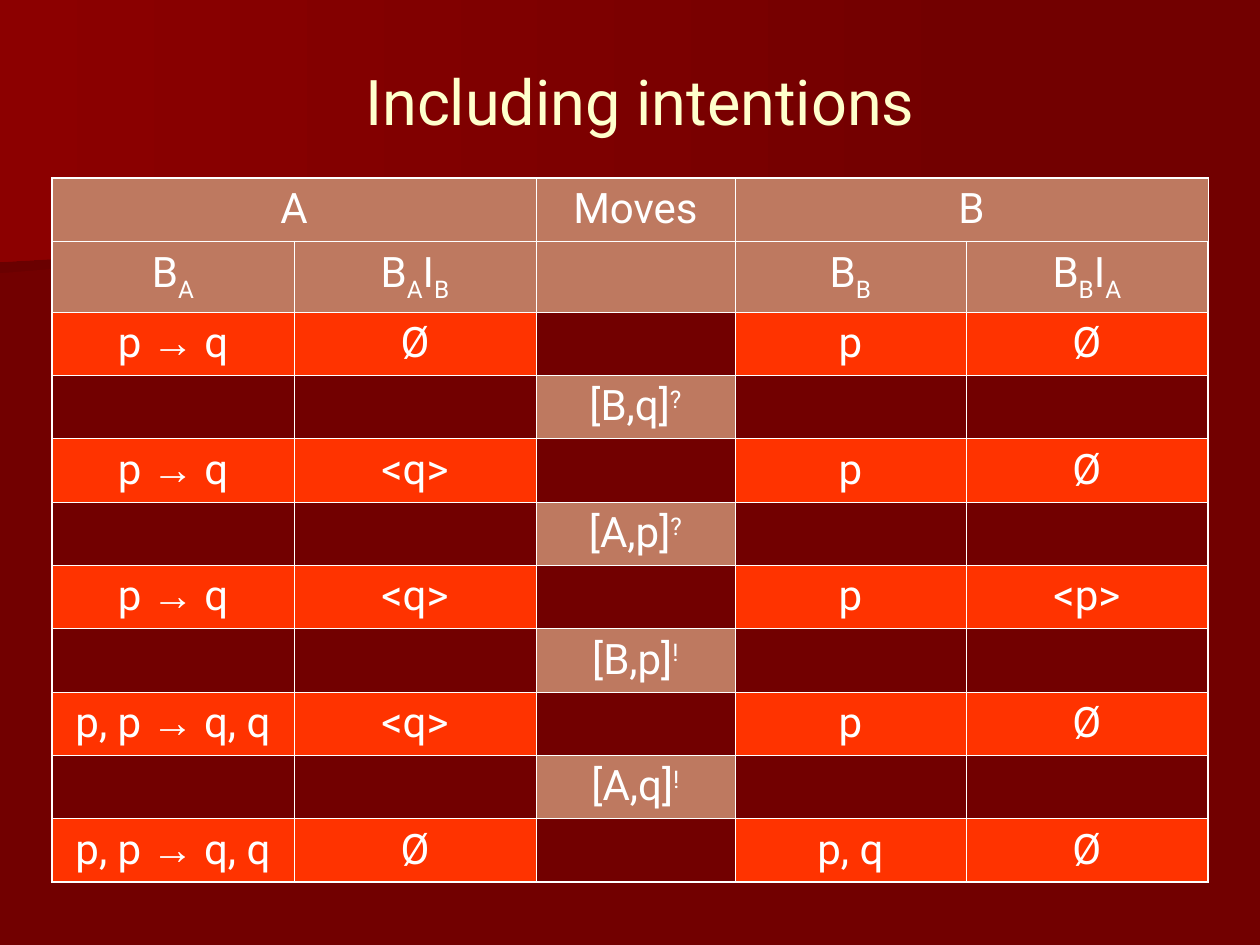
from lxml.etree import SubElement
from pptx import Presentation
from pptx.dml.color import RGBColor
from pptx.enum.text import MSO_ANCHOR as Anchor, MSO_AUTO_SIZE as AutoSize, PP_ALIGN as Align
from pptx.oxml.ns import qn
from pptx.util import Emu, Pt

EMU_PER_PX = 914400 / 126
DARK_RED = RGBColor(0x72, 0x00, 0x00)
DEEP_RED = RGBColor(0x6A, 0x00, 0x00)
BRIGHT_RED = RGBColor(0x8C, 0x00, 0x00)
CREAM = RGBColor(0xFF, 0xFF, 0xCC)
WHITE = RGBColor(0xFF, 0xFF, 0xFF)
CLAY = RGBColor(0xBE, 0x79, 0x60)
ORANGE = RGBColor(0xFF, 0x33, 0x00)

BASELINES = {"_": "-25000", "^": "30000"}
COLUMN_WIDTHS = [242, 242, 199, 231, 242]
ROW_HEIGHTS = [63, 71] + [63, 63, 64] * 3
HEADER_ROWS = 2
MOVES_COLUMN = 2
IMPLIES = "p |→| q"
DERIVED = "p, p |→| q, q"


def move(text):
    return ["", "", text, "", ""]


ROWS = [
    ["A", "", "Moves", "B", ""],
    ["B|_A", "B|_A|I|_B", "", "B|_B", "B|_B|I|_A"],
    [IMPLIES, "Ø", "", "p", "Ø"],
    move("[B,q]|^?"),
    [IMPLIES, "<q>", "", "p", "Ø"],
    move("[A,p]|^?"),
    [IMPLIES, "<q>", "", "p", "<p>"],
    move("[B,p]|^!"),
    [DERIVED, "<q>", "", "p", "Ø"],
    move("[A,q]|^!"),
    [DERIVED, "Ø", "", "p, q", "Ø"],
]


def px(length):
    return Emu(round(length * EMU_PER_PX))


class SlideBuilder:
    font_name = "Roboto"
    symbol_font = "Arial"
    inner_line = Pt(0.45)
    outer_line = Pt(1.08)

    def __init__(self, presentation):
        self.slide = presentation.slides.add_slide(presentation.slide_layouts[5])
        self.shapes = self.slide.shapes

    def background(self, color):
        fill = self.slide.background.fill
        fill.solid()
        fill.fore_color.rgb = color

    def band(self, points, start_color, end_color):
        builder = self.shapes.build_freeform(*points[0], scale=EMU_PER_PX)
        builder.add_line_segments(points[1:], close=True)
        shape = builder.convert_to_shape()
        shape.shadow.inherit = False
        shape.line.fill.background()
        shape.fill.gradient()
        shape.fill.gradient_angle = 180
        for stop, color in zip(shape.fill.gradient_stops, (start_color, end_color)):
            stop.color.rgb = color

    def style(self, paragraph, size, color):
        paragraph.alignment = Align.CENTER
        paragraph.font.name = self.font_name
        paragraph.font.size = Pt(size)
        paragraph.font.color.rgb = color

    def title(self, text, left, top, width, height):
        title = self.shapes.title
        title.left, title.top = px(left), px(top)
        title.width, title.height = px(width), px(height)
        frame = title.text_frame
        frame.text = text
        frame.auto_size = AutoSize.NONE
        frame.vertical_anchor = Anchor.MIDDLE
        self.style(frame.paragraphs[0], 36, CREAM)
        self.shapes._spTree.append(title._element)

    def cell_text(self, cell, text):
        paragraph = cell.text_frame.paragraphs[0]
        self.style(paragraph, 24, WHITE)
        paragraph.space_before = Pt(6)
        for piece in text.split("|"):
            run = paragraph.add_run()
            run.text = piece.lstrip("_^")
            run.font.name = self.symbol_font if piece == "→" else self.font_name
            run.font.size = Pt(24)
            run.font.color.rgb = WHITE
            if piece[0] in BASELINES:
                run.font._element.set("baseline", BASELINES[piece[0]])

    def cell_borders(self, cell, outer_sides):
        properties = cell._tc.get_or_add_tcPr()
        for index, side in enumerate("LRTB"):
            width = self.outer_line if side in outer_sides else self.inner_line
            line = SubElement(properties, qn(f"a:ln{side}"), w=str(int(width)))
            fill = SubElement(line, qn("a:solidFill"))
            SubElement(fill, qn("a:srgbClr"), val=str(WHITE))
            properties.insert(index, line)

    def table(self, rows, left, top, widths, heights):
        table = self.shapes.add_table(
            len(rows), len(widths), px(left), px(top), px(sum(widths)), px(sum(heights))
        ).table
        table.first_row = table.horz_banding = False
        for column, width in zip(table.columns, widths):
            column.width = px(width)
        for row, height in zip(table.rows, heights):
            row.height = px(height)
        last_row, last_column = len(rows) - 1, len(widths) - 1
        for r, texts in enumerate(rows):
            for c, text in enumerate(texts):
                cell = table.cell(r, c)
                cell.vertical_anchor = Anchor.MIDDLE
                if text:
                    self.cell_text(cell, text)
                if text or r < HEADER_ROWS:
                    cell.fill.solid()
                    is_clay = r < HEADER_ROWS or c == MOVES_COLUMN
                    cell.fill.fore_color.rgb = CLAY if is_clay else ORANGE
                else:
                    cell.fill.background()
                edges = {"L": c == 0, "R": c == last_column, "T": r == 0, "B": r == last_row}
                self.cell_borders(cell, [side for side, outer in edges.items() if outer])
        for first in (0, 3):
            table.cell(0, first).merge(table.cell(0, first + 1))


def main():
    presentation = Presentation()
    presentation.slide_width, presentation.slide_height = px(1260), px(945)
    builder = SlideBuilder(presentation)
    builder.background(DARK_RED)
    builder.band(
        [(980, 193), (0, 273), (0, 127), (982, 127), (980, 161)], DARK_RED, DEEP_RED
    )
    builder.band([(998, 204), (0, 262), (0, 0), (998, 0)], DARK_RED, BRIGHT_RED)
    builder.table(ROWS, 52, 178, COLUMN_WIDTHS, ROW_HEIGHTS)
    builder.title("Including intentions", 73, 21, 1134, 158)
    presentation.save("out.pptx")


if __name__ == "__main__":
    main()
